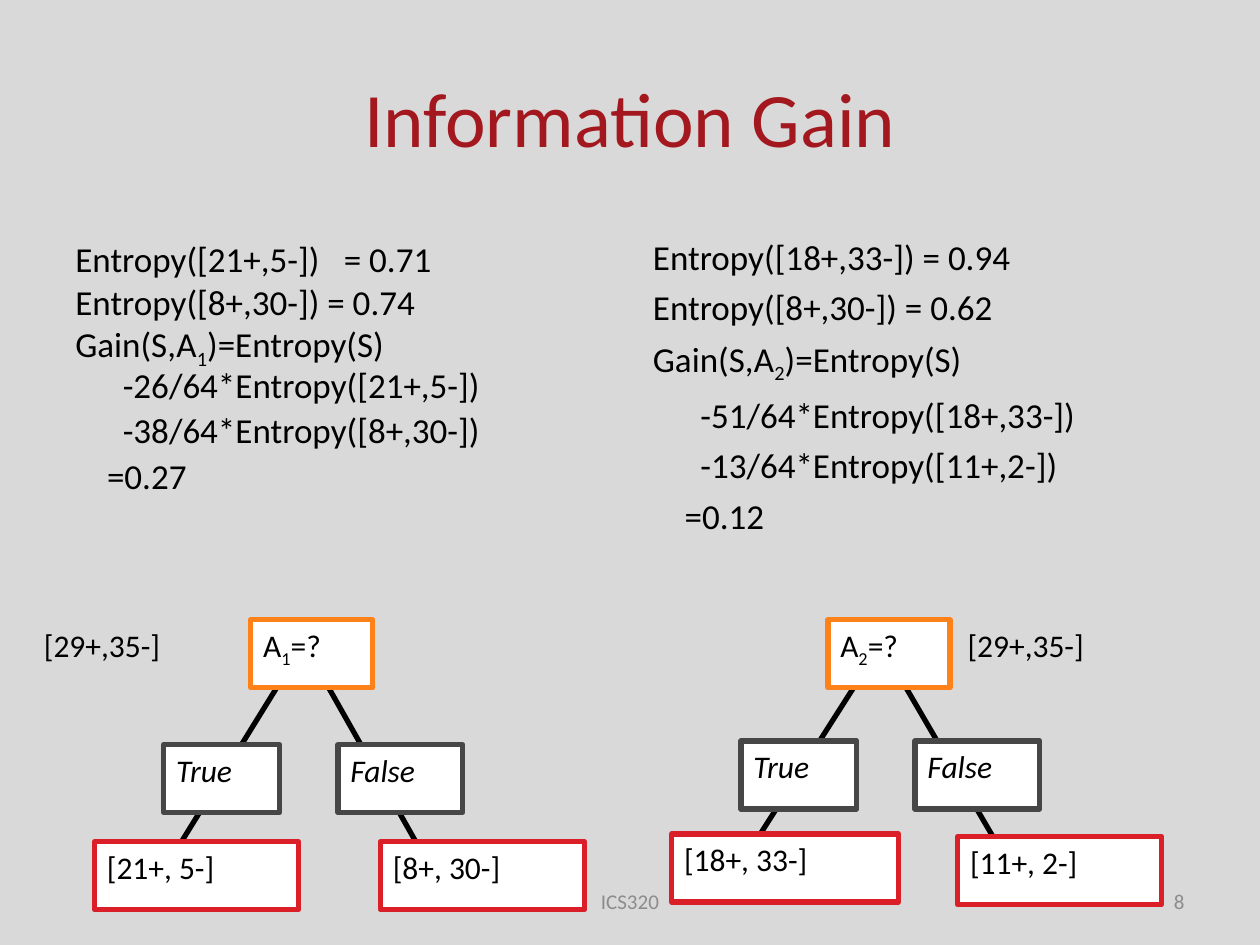
"""Build the Information Gain slide with two candidate decision trees."""
from dataclasses import dataclass

import lxml.etree
import pptx
import pptx.dml.color
import pptx.enum.shapes
import pptx.enum.text
import pptx.oxml.ns
import pptx.util

Pt = pptx.util.Pt
RGB = pptx.dml.color.RGBColor.from_string
ALIGN = pptx.enum.text.PP_ALIGN
ANCHOR = pptx.enum.text.MSO_ANCHOR
qn = pptx.oxml.ns.qn


@dataclass(frozen=True)
class Theme:
    font: str = "Calibri"
    background: str = "D9D9D9"
    title: str = "A3171E"
    ink: str = "000000"
    muted: str = "8C8C8C"
    node_fill: str = "FFFFFF"
    root: str = "FF8119"
    branch: str = "464646"
    leaf: str = "DA1F28"
    title_size: float = 44
    body_size: float = 20
    node_size: float = 18
    footer_size: float = 12
    line_width: float = 3


@dataclass(frozen=True)
class Box:
    x: float
    y: float
    w: float
    h: float = 38.9


@dataclass(frozen=True)
class Line:
    text: str
    indent: float = 0
    spacing: float = 1.0
    before: float = 0
    tab: float = 0


@dataclass(frozen=True)
class Tree:
    dx: float
    root: str
    branch_y: float
    leaves: tuple[tuple[str, Box], ...]
    edge_end: float
    sample_x: float


THEME = Theme()
ROOT_Y = 354.2
BRANCHES = (("True", 93.6, 66.2), ("False", 193.1, 71.3))
EDGES = ((163.5, 103.7), (182.9, 237.6))
DEEP, SHALLOW = 27.1, 18.1

LEFT_LINES = (
    Line("Entropy([21+,5-])\t= 0.71", tab=153.4),
    Line("Entropy([8+,30-]) = 0.74", spacing=0.5, before=11),
    Line("Gain(S,A_1_)=Entropy(S)", spacing=0.5, before=11),
    Line("-26/64*Entropy([21+,5-])", DEEP, 0.5, 11),
    Line("-38/64*Entropy([8+,30-])", DEEP, 0.7, 9.5),
    Line("=0.27", SHALLOW, 0.7, 9.5),
)
RIGHT_LINES = (
    Line("Entropy([18+,33-]) = 0.94", spacing=1.2),
    Line("Entropy([8+,30-]) = 0.62", spacing=1.2),
    Line("Gain(S,A_2_)=Entropy(S)", spacing=1.2),
    Line("-51/64*Entropy([18+,33-])", DEEP, 1.2),
    Line("-13/64*Entropy([11+,2-])", DEEP, 1.2),
    Line("=0.12", SHALLOW, 1.2),
)
TREES = (
    Tree(0, "A_1_=?", 425.5,
         (("[21+, 5-]", Box(54, 481, 116.6)), ("[8+, 30-]", Box(217.4, 481, 116.6))),
         481, 18),
    Tree(329.8, "A_2_=?", 423.4,
         (("[18+, 33-]", Box(383.8, 476.6, 129.6)), ("[11+, 2-]", Box(547.2, 478.1, 116.6))),
         478.1, 545.8),
)


def write(sp, lines, *, size: float, color: str = THEME.ink, italic: bool = False,
          align=ALIGN.LEFT, anchor=ANCHOR.TOP) -> None:
    tf = sp.text_frame
    tf.word_wrap = True
    tf.vertical_anchor = anchor
    lines = (Line(lines),) if isinstance(lines, str) else lines
    for i, line in enumerate(lines):
        p = tf.paragraphs[0] if i == 0 else tf.add_paragraph()
        p.alignment = align
        p.line_spacing = line.spacing
        p.space_before = Pt(line.before)
        pPr = p._p.get_or_add_pPr()
        if line.indent:
            pPr.set("marL", str(Pt(line.indent)))
        if line.tab:
            tabs = lxml.etree.SubElement(pPr, qn("a:tabLst"))
            lxml.etree.SubElement(tabs, qn("a:tab"), pos=str(Pt(line.tab)), algn="l")
        for j, part in enumerate(line.text.split("_")):
            r = p.add_run()
            r.text = part
            r.font.name = THEME.font
            r.font.size = Pt(size)
            r.font.italic = italic
            r.font.color.rgb = RGB(color)
            if j % 2:
                r._r.get_or_add_rPr().set("baseline", "-25000")


def add_text(s, box: Box, lines, **fmt) -> None:
    sp = s.shapes.add_textbox(Pt(box.x), Pt(box.y), Pt(box.w), Pt(box.h))
    write(sp, lines, **fmt)


def add_node(s, box: Box, text: str, border: str, italic: bool = False) -> None:
    sp = s.shapes.add_shape(pptx.enum.shapes.MSO_SHAPE.RECTANGLE,
                            Pt(box.x), Pt(box.y), Pt(box.w), Pt(box.h))
    sp.shadow.inherit = False
    sp.fill.solid()
    sp.fill.fore_color.rgb = RGB(THEME.node_fill)
    sp.line.color.rgb = RGB(border)
    sp.line.width = Pt(THEME.line_width)
    write(sp, text, size=THEME.node_size, italic=italic)


def add_edge(s, x1: float, y1: float, x2: float, y2: float) -> None:
    line = s.shapes.add_connector(pptx.enum.shapes.MSO_CONNECTOR.STRAIGHT,
                                  Pt(x1), Pt(y1), Pt(x2), Pt(y2))
    line.line.color.rgb = RGB(THEME.ink)
    line.line.width = Pt(THEME.line_width)
    lxml.etree.SubElement(line._element.spPr, qn("a:effectLst"))


def add_tree(s, tree: Tree) -> None:
    for start, end in EDGES:
        add_edge(s, start + tree.dx, 384.3, end + tree.dx, tree.edge_end)
    add_node(s, Box(143.3 + tree.dx, ROOT_Y, 69.8), tree.root, THEME.root)
    for label, x, width in BRANCHES:
        add_node(s, Box(x + tree.dx, tree.branch_y, width), label, THEME.branch, italic=True)
    for label, box in tree.leaves:
        add_node(s, box, label, THEME.leaf)
    add_text(s, Box(tree.sample_x, ROOT_Y, 118.8, 36), "[29+,35-]", size=THEME.node_size)


def main() -> None:
    prs = pptx.Presentation()
    prs.slide_width, prs.slide_height = Pt(720), Pt(540)
    s = prs.slides.add_slide(prs.slide_layouts[6])
    s.background.fill.solid()
    s.background.fill.fore_color.rgb = RGB(THEME.background)

    footer = dict(size=THEME.footer_size, color=THEME.muted, anchor=ANCHOR.MIDDLE)
    add_text(s, Box(246, 500.5, 228, 28.8), "ICS320", align=ALIGN.CENTER, **footer)
    add_text(s, Box(516, 500.5, 168, 28.8), "8", align=ALIGN.RIGHT, **footer)
    add_text(s, Box(36, 21.6, 648, 90), "Information Gain", size=THEME.title_size,
             color=THEME.title, align=ALIGN.CENTER, anchor=ANCHOR.MIDDLE)
    left, right = TREES
    add_tree(s, left)
    add_text(s, Box(36, 132, 612, 324), LEFT_LINES, size=THEME.body_size)
    add_text(s, Box(366, 126, 258.5, 180.7), RIGHT_LINES, size=THEME.body_size)
    add_tree(s, right)
    prs.save("out.pptx")


if __name__ == "__main__":
    main()
